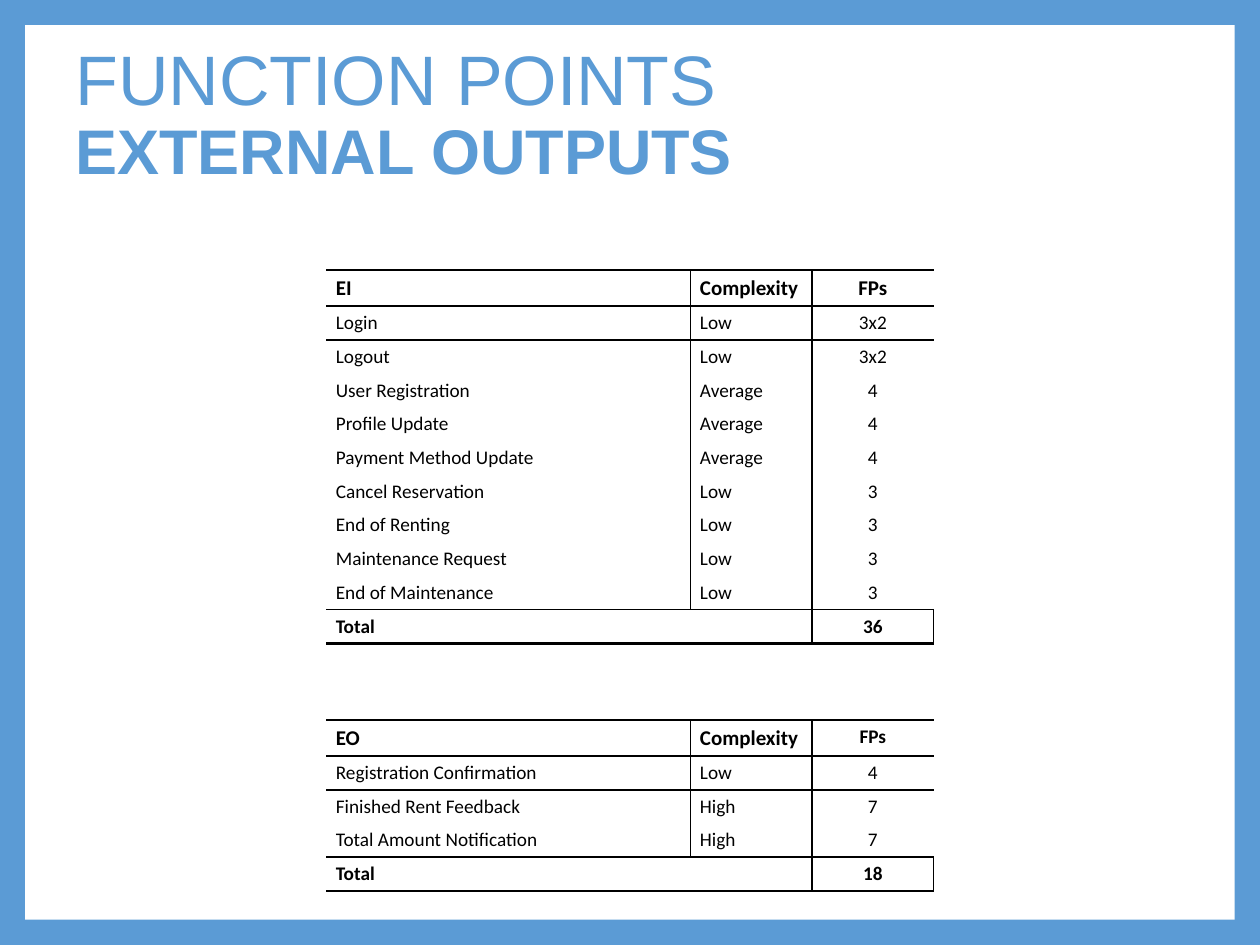
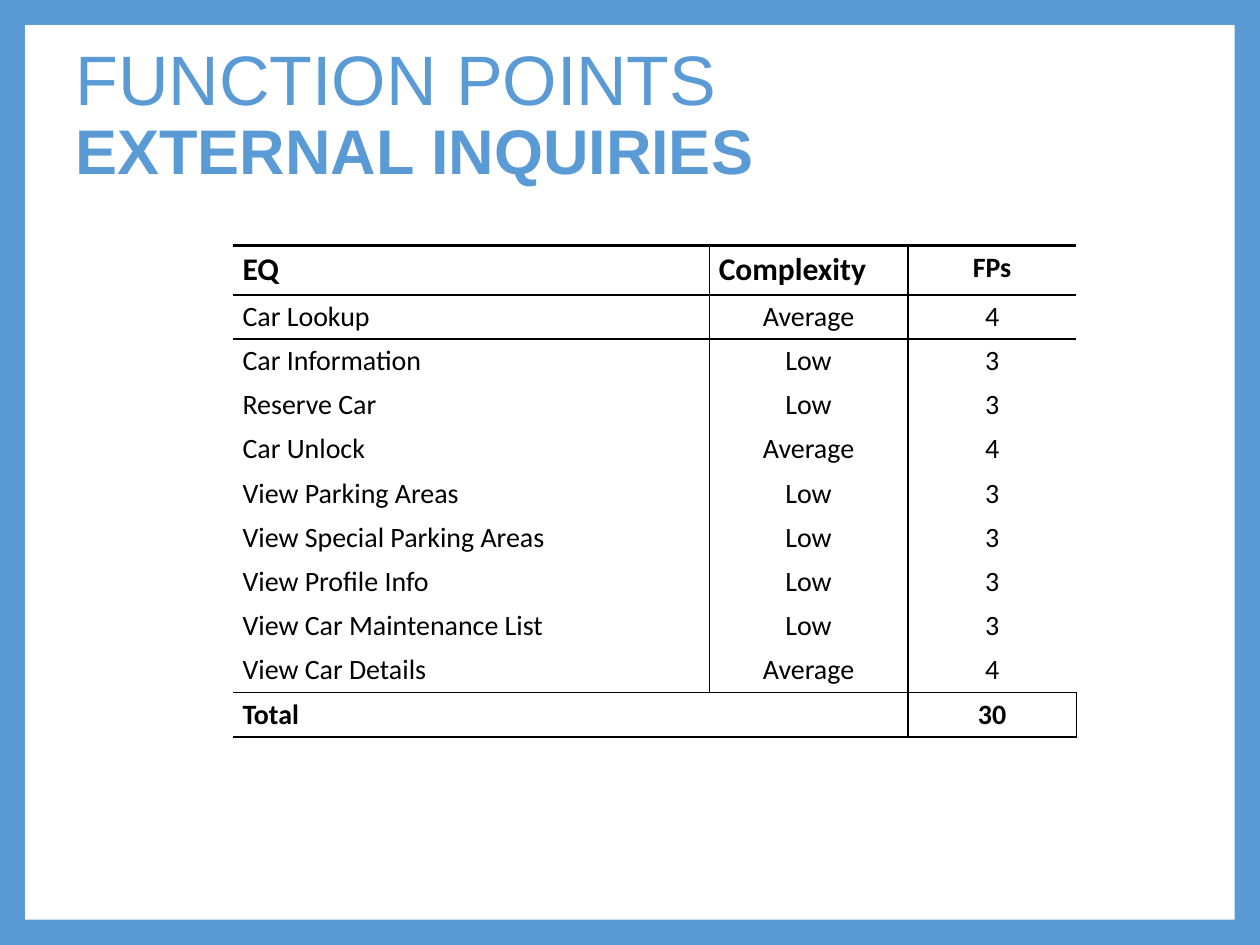
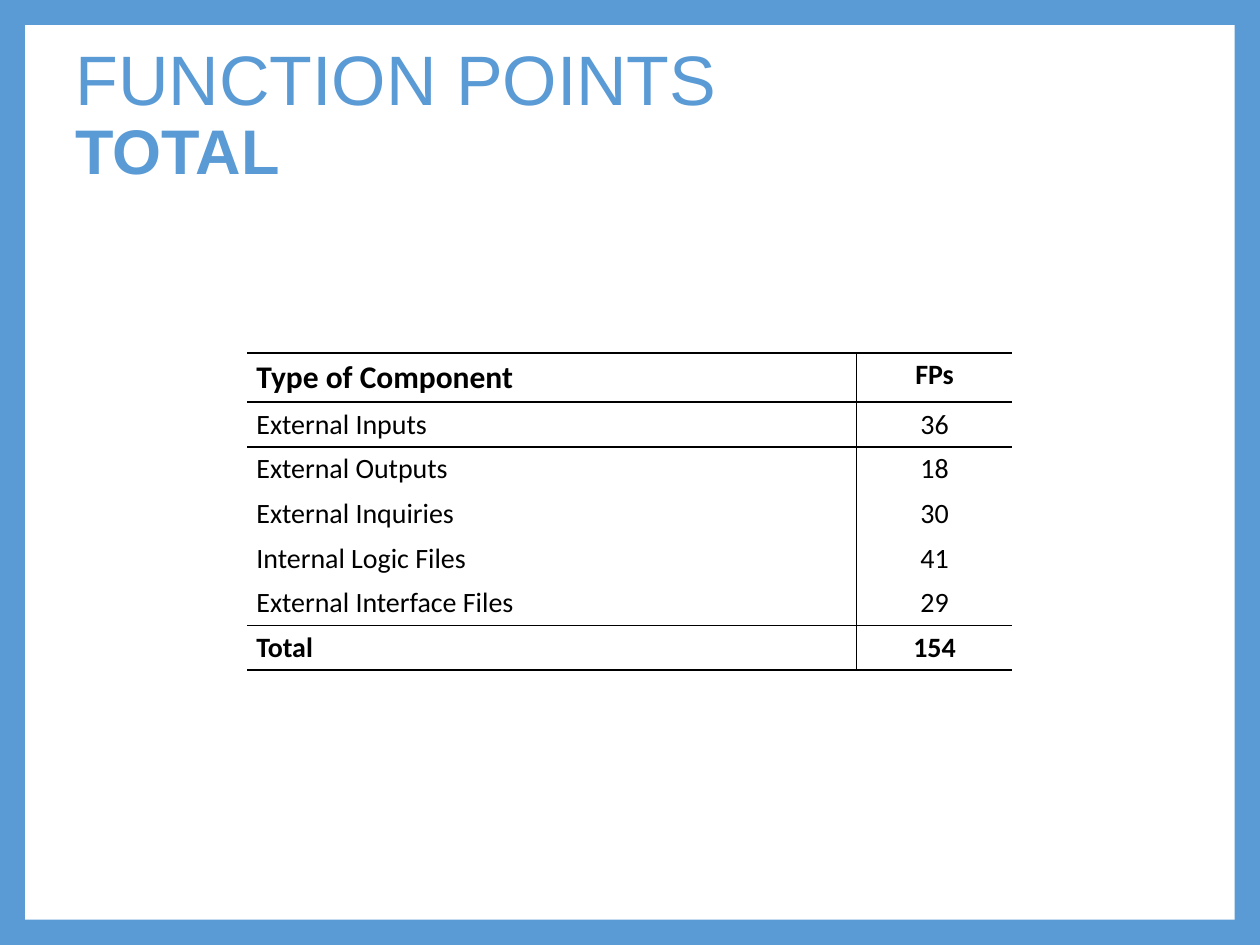
from lxml import etree
from pptx import Presentation
from pptx.dml.color import RGBColor
from pptx.enum.shapes import MSO_SHAPE
from pptx.enum.text import MSO_ANCHOR, PP_ALIGN
from pptx.oxml.ns import qn
from pptx.util import Cm, Pt

RECTANGLE = MSO_SHAPE.RECTANGLE
TOP, MIDDLE = MSO_ANCHOR.TOP, MSO_ANCHOR.MIDDLE
LEFT, CENTER = PP_ALIGN.LEFT, PP_ALIGN.CENTER

BLUE = RGBColor(0x5B, 0x9B, 0xD5)
WHITE = RGBColor(0xFF, 0xFF, 0xFF)
BLACK = RGBColor(0x00, 0x00, 0x00)
TITLE_FONT, TABLE_FONT = "Arial", "Calibri"
THIN, THICK = Pt(1), Pt(1.5)
NO_GRID_STYLE = "{2D5ABB26-0587-4C30-8999-92F81FD0307C}"

EXTERNAL_INPUTS = [
    ("EI", "Complexity", "FPs"),
    ("Login", "Low", "3x2"),
    ("Logout", "Low", "3x2"),
    ("User Registration", "Average", "4"),
    ("Profile Update", "Average", "4"),
    ("Payment Method Update", "Average", "4"),
    ("Cancel Reservation", "Low", "3"),
    ("End of Renting", "Low", "3"),
    ("Maintenance Request", "Low", "3"),
    ("End of Maintenance", "Low", "3"),
    ("Total", "", "36"),
]
EXTERNAL_OUTPUTS = [
    ("EO", "Complexity", "FPs"),
    ("Registration Confirmation", "Low", "4"),
    ("Finished Rent Feedback", "High", "7"),
    ("Total Amount Notification", "High", "7"),
    ("Total", "", "18"),
]
EXTERNAL_INQUIRIES = [
    ("EQ", "Complexity", "FPs"),
    ("Car Lookup", "Average", "4"),
    ("Car Information", "Low", "3"),
    ("Reserve Car", "Low", "3"),
    ("Car Unlock", "Average", "4"),
    ("View Parking Areas", "Low", "3"),
    ("View Special Parking Areas", "Low", "3"),
    ("View Profile Info", "Low", "3"),
    ("View Car Maintenance List", "Low", "3"),
    ("View Car Details", "Average", "4"),
    ("Total", "", "30"),
]
COMPONENT_TOTALS = [
    ("Type of Component", "FPs"),
    ("External Inputs", "36"),
    ("External Outputs", "18"),
    ("External Inquiries", "30"),
    ("Internal Logic Files", "41"),
    ("External Interface Files", "29"),
    ("Total", "154"),
]

# Lengths in cm, text sizes in points: rows, left, top, column widths,
# heading height, row height, heading size, FPs heading size, body size,
# alignment of the complexity column
SMALL_COLUMNS = (7.34, 2.45, 2.45)
SLIDES = [
    ("EXTERNAL OUTPUTS", [
        (EXTERNAL_OUTPUTS, 6.58, 14.52, SMALL_COLUMNS, 0.72, 0.68, 12, 11, 11, LEFT),
        (EXTERNAL_INPUTS, 6.58, 5.45, SMALL_COLUMNS, 0.72, 0.68, 12, 12, 11, LEFT),
    ]),
    ("EXTERNAL INQUIRIES", [
        (EXTERNAL_INQUIRIES, 4.7, 4.95, (9.6, 4, 3.4), 0.99, 0.89, 18, 16, 16, CENTER),
    ]),
    ("TOTAL", [
        (COMPONENT_TOTALS, 4.98, 7.12, (12.29, 3.14), 0.99, 0.9, 18, 16, 16, CENTER),
    ]),
]


def add_border(cell, side, width):
    """Draw one side of a cell; side is L, R, T or B, added in that order."""
    line = etree.SubElement(cell._tc.get_or_add_tcPr(), qn("a:ln" + side), w=str(width))
    fill = etree.SubElement(line, qn("a:solidFill"))
    etree.SubElement(fill, qn("a:srgbClr"), val=str(BLACK))


def add_points_table(slide, rows, left, top, widths, heading_height, row_height,
                     heading_size, points_size, body_size, complexity_align):
    last_row, last_col = len(rows) - 1, len(widths) - 1
    height = heading_height + last_row * row_height
    frame = slide.shapes.add_table(len(rows), len(widths), Cm(left), Cm(top),
                                   Cm(sum(widths)), Cm(height))
    for style in frame.element.iter(qn("a:tableStyleId")):
        style.text = NO_GRID_STYLE
    table = frame.table
    table.first_row = table.horz_banding = False
    for column, width in zip(table.columns, widths):
        column.width = Cm(width)

    for r, row in enumerate(rows):
        table.rows[r].height = Cm(row_height if r else heading_height)
        for c, words in enumerate(row):
            cell = table.cell(r, c)
            cell.margin_left = cell.margin_right = Cm(0.19)
            cell.margin_top = cell.margin_bottom = Cm(0.1)
            cell.vertical_anchor = TOP if r == 0 and c > 0 else MIDDLE

            inside_total = r == last_row and 0 < c < last_col
            if c > 0 and not inside_total:
                add_border(cell, "L", THIN)
            if c < last_col:
                add_border(cell, "R", THIN)
            if r in (0, 1, last_row):
                add_border(cell, "T", THIN if r == last_row else THICK)
            if r in (0, last_row - 1, last_row):
                add_border(cell, "B", THIN if r == last_row - 1 else THICK)
            cell.fill.background()

            cell.text_frame.text = words
            paragraph = cell.text_frame.paragraphs[0]
            if c == last_col:
                paragraph.alignment = CENTER
            elif c > 0 and r > 0:
                paragraph.alignment = complexity_align
            font = paragraph.font
            if r > 0:
                size = body_size
            else:
                size = points_size if c == last_col else heading_size
            for run in paragraph.runs:
                font = run.font
                font.name, font.size = TABLE_FONT, Pt(size)
                font.bold = r in (0, last_row)
                font.color.rgb = BLACK

    if last_col > 1:
        table.cell(last_row, 0).merge(table.cell(last_row, last_col - 1))


prs = Presentation()
prs.slide_width, prs.slide_height = Cm(25.4), Cm(19.05)
master = prs.slide_master
background = master.background.fill
background.solid()
background.fore_color.rgb = BLUE

layout = prs.slide_layouts.get_by_name("Title Only")
heading = layout.placeholders[0]
heading.left, heading.top, heading.width, heading.height = Cm(1.27), Cm(0.76), Cm(22.86), Cm(3.18)

for number, (subject, tables) in enumerate(SLIDES):
    slide = prs.slides.add_slide(layout)

    if number == 0:
        # The white panel belongs to the master, behind its placeholders
        panel = slide.shapes.add_shape(RECTANGLE, Cm(0.51), Cm(0.51), Cm(24.38), Cm(18.03))
        panel.shadow.inherit = False
        panel.fill.solid()
        panel.fill.fore_color.rgb = WHITE
        panel.line.fill.background()
        panel.element.nvSpPr.cNvPr.id = 20
        master.shapes.element.insert(2, panel.element)

    title = slide.shapes.title.text_frame
    title.text = "FUNCTION POINTS\v" + subject
    title.vertical_anchor = MIDDLE
    paragraph = title.paragraphs[0]
    paragraph.alignment = LEFT
    paragraph.line_spacing = 0.9
    for run, size, bold in zip(paragraph.runs, (40, 36), (False, True)):
        run.font.name, run.font.size, run.font.bold = TITLE_FONT, Pt(size), bold
        run.font.color.rgb = BLUE

    for points in tables:
        add_points_table(slide, *points)

prs.save("out.pptx")
